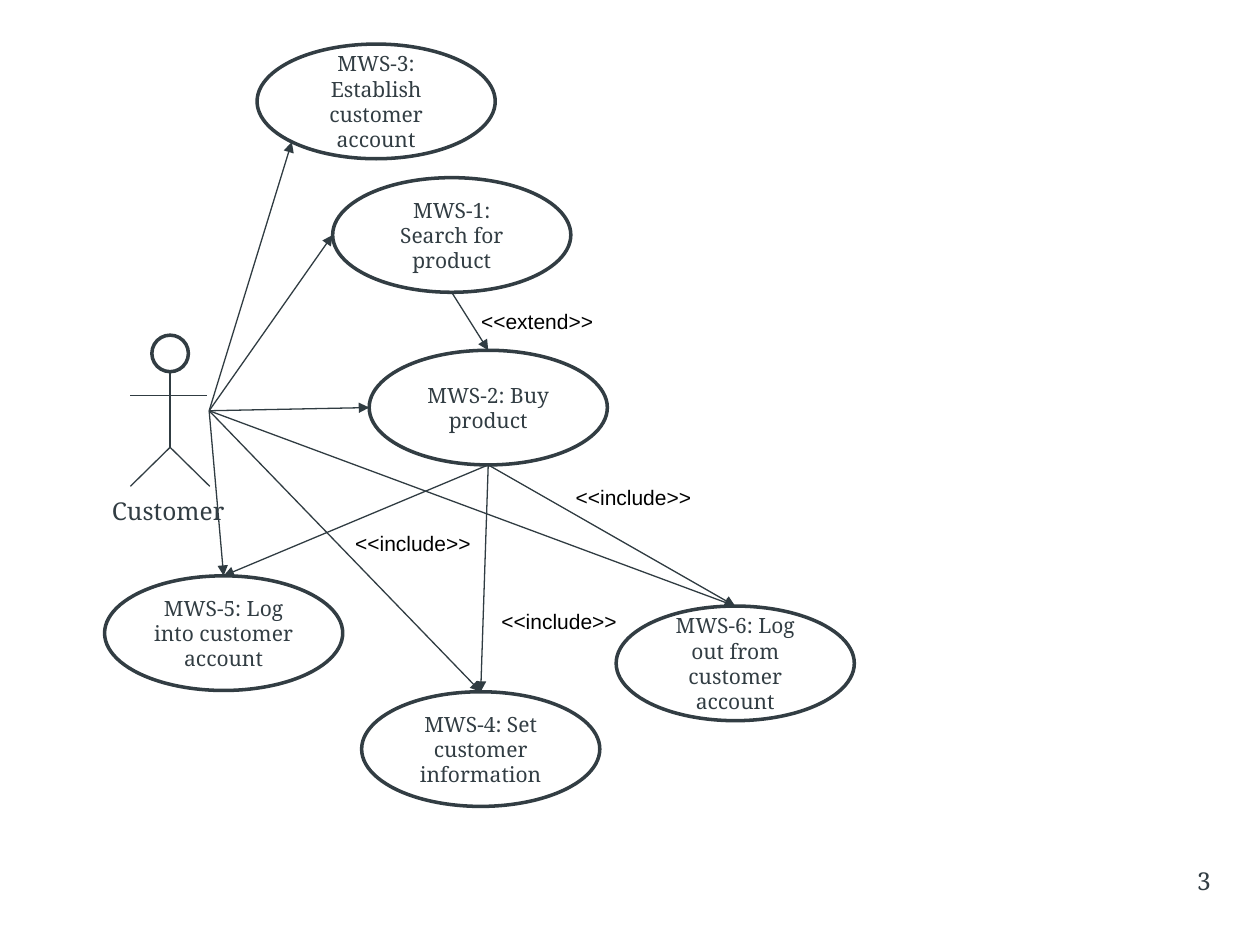
from lxml import etree
from pptx import Presentation
from pptx import util as u
from pptx.dml.color import RGBColor
from pptx.enum import shapes, text
from pptx.oxml import ns

COLORS = {"ink": "323D43", "line": "303C42", "paper": "FFFFFF", "label": "000000"}
SERIF, SANS = "Noto Serif", "Arial"
COLS, ROWS = 100, 75
OVAL_W, OVAL_H = 18.9, 9.1


def rgb(name):
    return RGBColor.from_string(COLORS[name])


def write(tf, words, size=12, font=SERIF, color="ink", align=text.PP_ALIGN.LEFT,
          anchor=text.MSO_ANCHOR.TOP, wrap=True):
    tf.word_wrap = wrap
    tf.vertical_anchor = anchor
    p = tf.paragraphs[0]
    p.alignment = align
    r = p.add_run()
    r.text = words
    r.font.size = u.Pt(size)
    r.font.name = font
    r.font.color.rgb = rgb(color)


class Diagram:
    """Draws on the current slide; positions are columns and rows of the grid."""

    def __init__(self, prs):
        self.s = prs.slides.add_slide(prs.slide_layouts[6])
        self.col = prs.slide_width / COLS
        self.row = prs.slide_height / ROWS

    def emu(self, x, y):
        return u.Emu(round(x * self.col)), u.Emu(round(y * self.row))

    def oval(self, x, y, w=OVAL_W, h=OVAL_H, words=None, parent=None):
        sp = (parent or self.s).shapes.add_shape(
            shapes.MSO_SHAPE.OVAL, *self.emu(x, y), *self.emu(w, h))
        sp.shadow.inherit = False
        sp.line.color.rgb = rgb("ink")
        sp.line.width = u.Pt(2)
        if words:
            sp.fill.solid()
            sp.fill.fore_color.rgb = rgb("paper")
            write(sp.text_frame, words, align=text.PP_ALIGN.CENTER,
                  anchor=text.MSO_ANCHOR.MIDDLE)
        else:
            sp.fill.background()
        return sp

    def line(self, start, end, parent=None):
        cx = (parent or self.s).shapes.add_connector(
            shapes.MSO_CONNECTOR.STRAIGHT, *self.emu(*start), *self.emu(*end))
        cx.line.color.rgb = rgb("line")
        cx.line.width = u.Pt(0.75)
        etree.SubElement(cx._element.spPr, ns.qn("a:effectLst"))
        return cx

    def arrow(self, start, end, top_of=None):
        """Arrow to a point, joined to the top of an oval if one is given."""
        cx = self.line(start, end)
        etree.SubElement(cx.line._get_or_add_ln(), ns.qn("a:tailEnd"), type="triangle")
        if top_of is not None:
            cx.end_connect(top_of, 0)

    def label(self, x, y, w, h, words, **fmt):
        tf = self.s.shapes.add_textbox(*self.emu(x, y), *self.emu(w, h)).text_frame
        write(tf, words, **fmt)
        return tf

    def actor(self, x, y):
        """Stick figure whose neck is at (x, y)."""
        g = self.s.shapes.add_group_shape()
        self.oval(x - 1.45, y - 2.9, 2.9, 2.9, parent=g)
        hip = (x, y + 6)
        self.line((x, y), hip, parent=g)
        self.line((x + 2.9, y + 1.9), (x - 3.2, y + 1.9), parent=g)
        for side in (-3.15, 3.15):
            self.line(hip, (x + side, y + 9.1), parent=g)


USE_CASES = {
    "logout": (48.9, 48.1, "MWS-6: Log out from customer account"),
    "info": (28.7, 54.9, "MWS-4: Set customer information"),
    "establish": (20.4, 3.5, "MWS-3: Establish customer account"),
    "buy": (29.3, 27.8, "MWS-2: Buy product"),
    "search": (26.4, 14.1, "MWS-1: Search for product"),
    "login": (8.3, 45.7, "MWS-5: Log into customer account"),
}
RELATIONS = [
    (37.2, 24, "<<extend>>"),
    (44.7, 38, "<<include>>"),
    (27.2, 41.6, "<<include>>"),
    (38.8, 47.8, "<<include>>"),
]
INCLUDED = ("logout", "login", "info")


def point(name, across, down):
    """Point of a use case's frame, as shares of its width and height."""
    x, y, _ = USE_CASES[name]
    return x + across * OVAL_W, y + down * OVAL_H


def main():
    prs = Presentation()
    prs.slide_width, prs.slide_height = u.Inches(10), u.Inches(7.5)
    d = Diagram(prs)

    number = d.label(72.8, 68.2, 23.3, 5.2, "3", size=14, align=text.PP_ALIGN.RIGHT)
    number.margin_right = 0

    d.actor(13.5, 29.5)
    ovals = {name: d.oval(x, y, words=words)
             for name, (x, y, words) in USE_CASES.items()}

    hand = (16.6, 32.6)
    for target in (point("establish", 0.146, 0.854), point("search", 0, 0.5),
                   point("buy", 0, 0.5)):
        d.arrow(hand, target)

    links = [(hand, name) for name in INCLUDED]
    links.append((point("search", 0.5, 1), "buy"))
    links += [(point("buy", 0.5, 1), name) for name in INCLUDED]
    for start, name in links:
        d.arrow(start, point(name, 0.5, 0), top_of=ovals[name])

    for x, y, words in RELATIONS:
        d.label(x, y, 11.2, 3, words, font=SANS, color="label", wrap=False)
    d.label(7.9, 38.9, 11.3, 3.4, "Customer", size=14)

    prs.save("out.pptx")


if __name__ == "__main__":
    main()
